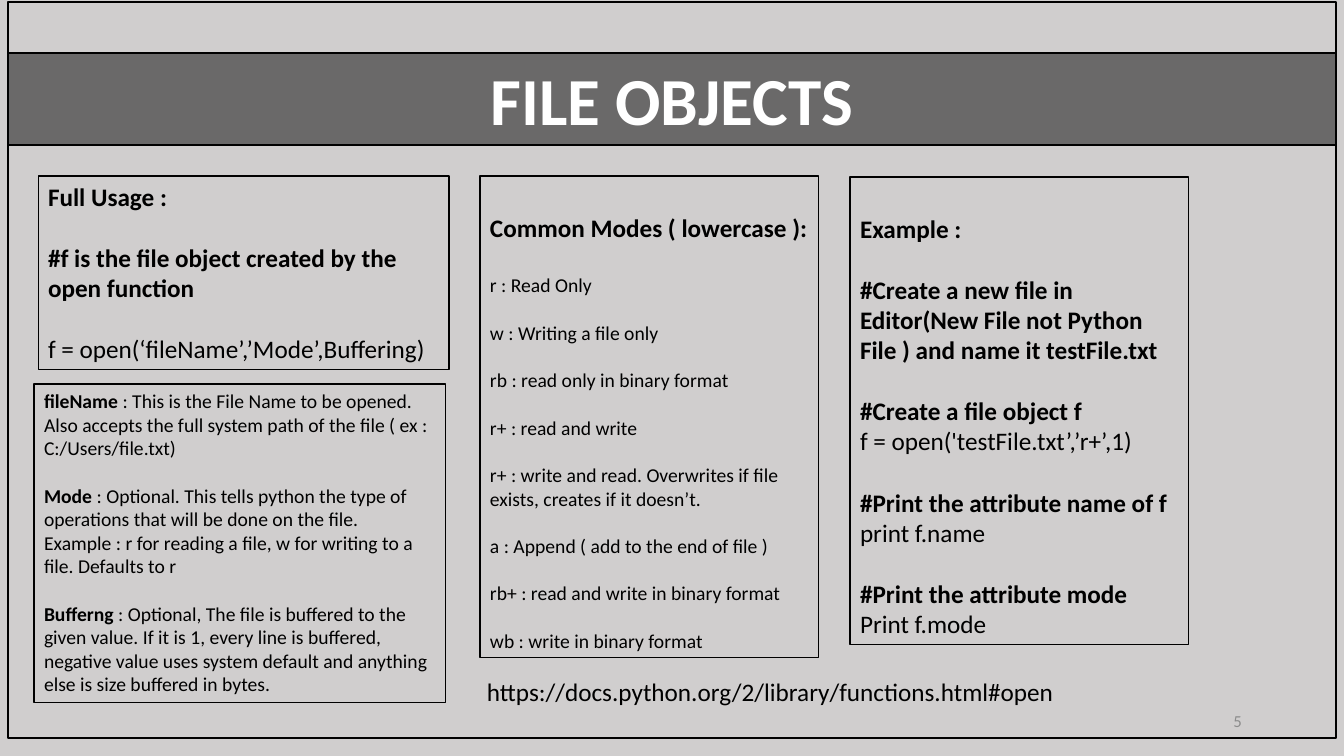
from dataclasses import dataclass
from typing import Any, NamedTuple

from lxml.etree import SubElement
from pptx import Presentation
from pptx.dml.color import RGBColor as Color
from pptx.enum.shapes import MSO_SHAPE as Preset
from pptx.enum.text import MSO_ANCHOR as Anchor, MSO_AUTO_SIZE as AutoSize, PP_ALIGN as Align
from pptx.oxml.ns import qn
from pptx.util import Emu, Pt

SCALE = 12192000 / 1344  # EMU per pixel
LINE_HEIGHT = 1.22


@dataclass(frozen=True)
class Theme:
    font: str = "Calibri"
    paper: Color = Color(0xD0, 0xCE, 0xCE)
    ink: Color = Color(0, 0, 0)
    light: Color = Color(255, 255, 255)
    faint: Color = Color(0x8C, 0x8C, 0x8C)
    title: int = 48
    large: int = 18
    small: int = 14
    number: int = 12
    thick: float = 1.75
    thin: float = 0.75
    band_alpha: int = 49000


THEME = Theme()


class Area(NamedTuple):
    left: int
    top: int
    width: int
    height: int


class Line(NamedTuple):
    """A paragraph: bold lead, plain rest, and the type size of the gap above."""
    bold: str = ""
    plain: str = ""
    size: int = THEME.large
    gap: int = 0


@dataclass(frozen=True)
class Panel:
    area: Area
    lines: list[Line]
    top_inset: int = 5


def px(length: float) -> Emu:
    return Emu(round(length * SCALE))


def apply(target: Any, values: dict[str, Any]) -> None:
    for name, value in values.items():
        setattr(target, name, value)


def place(box: Any, area: Area) -> None:
    apply(box, {name: px(value) for name, value in area._asdict().items()})


def outline(box: Any, weight: float) -> None:
    box.line.color.rgb = THEME.ink
    box.line.width = Pt(weight)


def write(box: Any, lines: list[Line], color: Color = THEME.ink, align: Align = Align.LEFT,
          anchor: Anchor = Anchor.TOP, wrap: bool = True, top_inset: int = 5) -> None:
    frame = box.text_frame
    apply(frame, {"word_wrap": wrap, "auto_size": AutoSize.NONE, "vertical_anchor": anchor,
                  "margin_left": px(10), "margin_right": px(10),
                  "margin_top": px(top_inset), "margin_bottom": px(5)})
    for index, line in enumerate(lines):
        para = frame.add_paragraph() if index else frame.paragraphs[0]
        apply(para, {"alignment": align, "line_spacing": 1.0, "space_after": Pt(0),
                     "space_before": Pt(round(line.gap * LINE_HEIGHT, 1))})
        properties = para._p.get_or_add_pPr()
        properties.set("marL", "0")
        properties.set("indent", "0")
        SubElement(properties, qn("a:buNone"))
        for text, bold in ((line.bold, True), (line.plain, False)):
            for part, piece in enumerate(text.split("\v") if text else []):
                if part:
                    para.add_line_break()
                span = para.add_run()
                span.text = piece
                apply(span.font, {"name": THEME.font, "size": Pt(line.size), "bold": bold})
                span.font.color.rgb = color


def add_label(page: Any, area: Area, line: Line, **format_values: Any) -> None:
    box = page.shapes.add_textbox(*map(px, area))
    write(box, [line], **format_values)


def add_panel(box: Any, panel: Panel) -> None:
    place(box, panel.area)
    outline(box, THEME.thin)
    write(box, panel.lines, top_inset=panel.top_inset)


BIG, SMALL = THEME.large, THEME.small
MODES = ["r : Read Only", "w : Writing a file only", "rb : read only in binary format",
         "r+ : read and write",
         "r+ : write and read. Overwrites if file exists, creates if it doesn’t.",
         "a : Append ( add to the end of file )", "rb+ : read and write in binary format",
         "wb : write in binary format"]
ARGUMENTS = {
    "fileName": "This is the File Name to be opened. Also accepts the full system path "
                "of the file ( ex : C:/Users/file.txt)",
    "Mode": "Optional. This tells python the type of operations that will be done on the file.\v"
            "Example : r for reading a file, w for writing to a file. Defaults to r",
    "Bufferng": "Optional, The file is buffered to the given value. If it is 1, every line is "
                "buffered, negative value uses system default and anything else is size "
                "buffered in bytes.",
}

PANELS = [
    Panel(Area(38, 176, 411, 194), [
        Line("Full Usage :"),
        Line("#f is the file object created by the open function", gap=BIG),
        Line(plain="f = open(‘fileName’,’Mode’,Buffering)", gap=BIG)]),
    Panel(Area(34, 384, 412, 319), [
        Line(name, f" : {meaning}", SMALL, SMALL if index else 0)
        for index, (name, meaning) in enumerate(ARGUMENTS.items())]),
    Panel(Area(480, 176, 339, 482), [Line("Common Modes ( lowercase ):")] + [
        Line(plain=mode, size=SMALL, gap=SMALL if index else BIG)
        for index, mode in enumerate(MODES)], top_inset=36),
    Panel(Area(850, 177, 339, 468), [
        Line("Example :"),
        Line("#Create a new file in Editor(New File not Python File ) and name it testFile.txt",
             gap=BIG),
        Line("#Create a file object f", gap=BIG),
        Line(plain="f = open('testFile.txt’,’r+’,1)"),
        Line("#Print the attribute name of f", gap=BIG),
        Line(plain="print f.name"),
        Line("#Print the attribute mode", gap=BIG),
        Line(plain="Print f.mode")], top_inset=36),
]

# Deck and background
deck = Presentation()
deck.slide_width, deck.slide_height = px(1344), px(756)
page = deck.slides.add_slide(deck.slide_layouts.get_by_name("Comparison"))
page.background.fill.solid()
page.background.fill.fore_color.rgb = THEME.paper

# Page frame
border = page.shapes.add_shape(Preset.RECTANGLE, *map(px, Area(8, 2, 1328, 736)))
border.shadow.inherit = False
border.fill.background()
outline(border, THEME.thick)

# Title band
title = page.shapes.title
place(title, Area(8, 53, 1328, 92))
title.fill.solid()
title.fill.fore_color.rgb = THEME.ink
shade = title._element.spPr.find(qn("a:solidFill"))[0]
SubElement(shade, qn("a:alpha")).set("val", str(THEME.band_alpha))
outline(title, THEME.thick)
write(title, [Line("FILE OBJECTS", size=THEME.title)], color=THEME.light, align=Align.CENTER)

# Text panels
bodies = [box for box in page.placeholders if box.placeholder_format.idx]
for body, panel in zip(bodies, PANELS):
    add_panel(body, panel)

# Reference address and page number
add_label(page, Area(477, 671, 594, 40),
          Line(plain="https://docs.python.org/2/library/functions.html#open"), wrap=False)
add_label(page, Area(950, 701, 302, 40), Line(plain="5", size=THEME.number),
          color=THEME.faint, align=Align.RIGHT, anchor=Anchor.MIDDLE)

deck.save("out.pptx")
